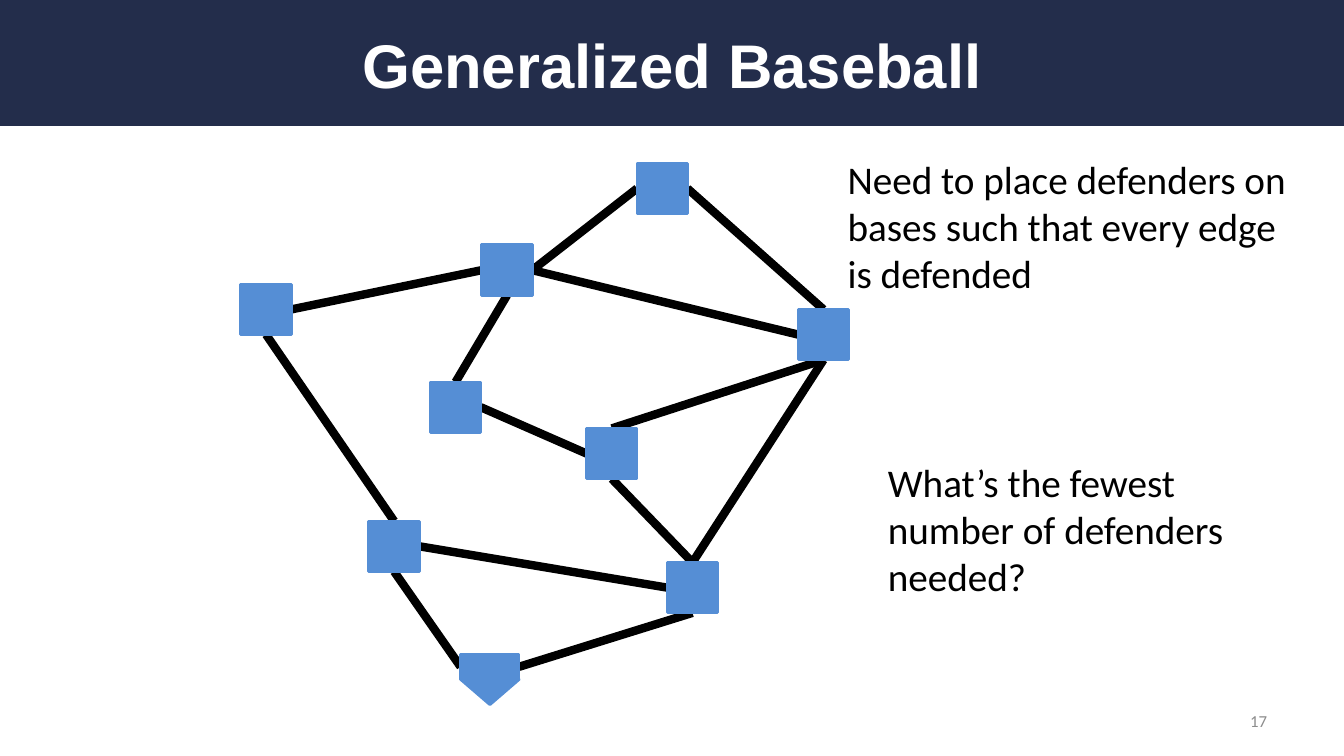
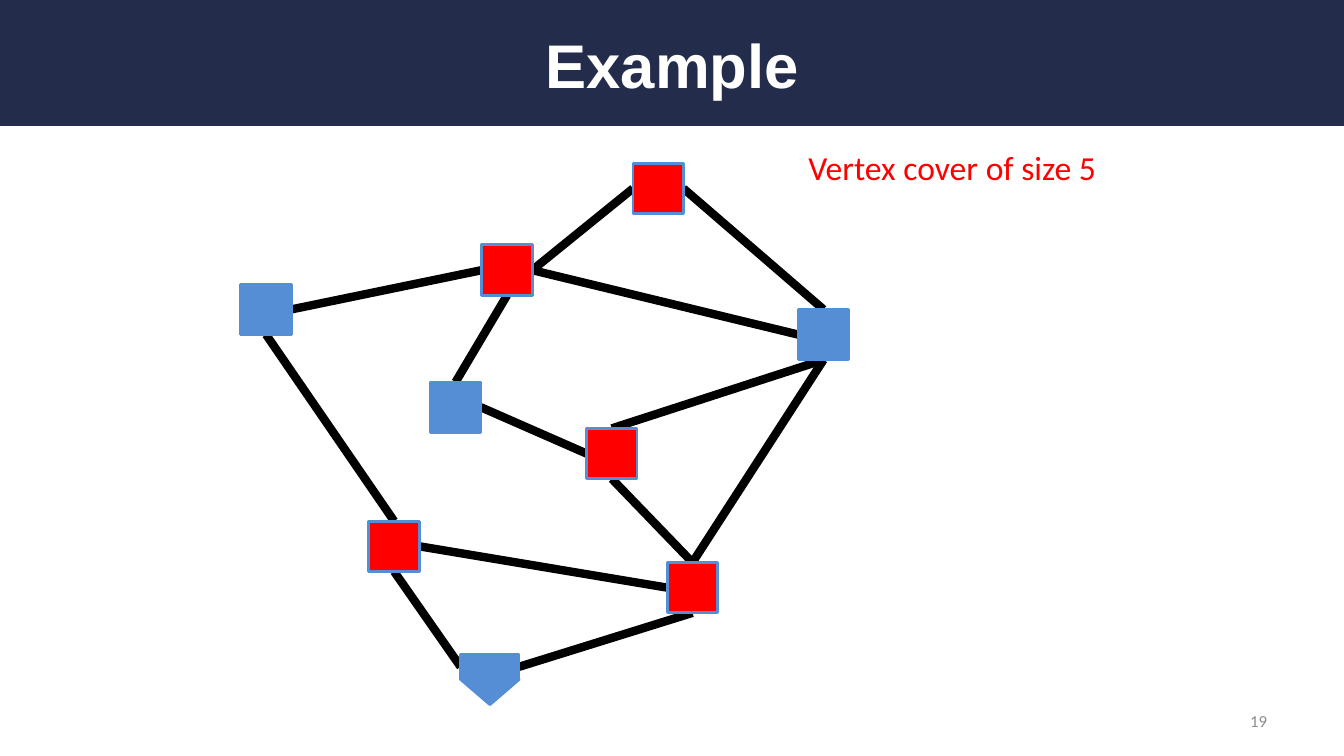
from dataclasses import dataclass

from lxml.etree import SubElement
from pptx import Presentation
from pptx.dml.color import RGBColor
from pptx.enum.shapes import MSO_CONNECTOR, MSO_SHAPE
from pptx.enum.text import MSO_ANCHOR, PP_ALIGN
from pptx.oxml.ns import qn
from pptx.util import Inches, Pt


@dataclass(frozen=True)
class Theme:
    navy: str = "232D4B"
    blue: str = "558ED5"
    red: str = "FF0000"
    black: str = "000000"
    white: str = "FFFFFF"
    gray: str = "8C8C8C"
    title_font: str = "Arial"
    body_font: str = "Calibri"
    title_size: int = 44
    question_size: int = 28
    result_size: int = 24
    number_size: int = 12
    edge_width: int = 6
    outline_width: int = 2


THEME = Theme()
TOP, LEFT, BOTTOM, RIGHT = range(4)
BASE_SIZE = 0.5
PLATE = (4.57, 6.49, 0.58, 0.25)

BASES = {
    "southwest": (3.66, 5.17),
    "southeast": (6.62, 5.58),
    "east": (7.92, 3.07),
    "inner west": (4.27, 3.79),
    "west": (2.39, 2.82),
    "northwest": (4.78, 2.43),
    "center": (5.82, 4.25),
    "north": (6.32, 1.62),
}

EDGES = [
    ("home", RIGHT, "southeast", BOTTOM),
    ("southwest", BOTTOM, "home", LEFT),
    ("southeast", LEFT, "southwest", RIGHT),
    ("west", BOTTOM, "southwest", TOP),
    ("west", RIGHT, "northwest", LEFT),
    ("northwest", RIGHT, "east", LEFT),
    ("northwest", BOTTOM, "inner west", TOP),
    ("inner west", RIGHT, "center", LEFT),
    ("east", BOTTOM, "center", TOP),
    ("northwest", RIGHT, "north", LEFT),
    ("east", TOP, "north", RIGHT),
    ("southeast", TOP, "center", BOTTOM),
    ("southeast", TOP, "east", BOTTOM),
]

SLIDES = [
    {
        "title": "Generalized Baseball",
        "number": "17",
        "bases": BASES,
        "defended": set(),
        "notes": [
            ("Need to place defenders on bases such that every edge is defended",
             (8.31, 1.49, 4.55, 1.51), THEME.question_size, THEME.black),
            ("What’s the fewest number of defenders needed?",
             (8.71, 4.5, 3.75, 1.51), THEME.question_size, THEME.black),
        ],
    },
    {
        "title": "Example",
        "number": "19",
        "bases": {**BASES, "north": (6.28, 1.62)},
        "defended": {"southwest", "southeast", "northwest", "center", "north"},
        "notes": [
            ("Vertex cover of size 5",
             (7.92, 1.41, 3.75, 0.5), THEME.result_size, THEME.red),
        ],
    },
]


def rgb(color):
    return RGBColor.from_string(color)


def write(sp, text, *, size, color, font=THEME.body_font, bold=False,
          align=PP_ALIGN.LEFT, anchor=MSO_ANCHOR.TOP):
    tf = sp.text_frame
    tf.word_wrap = True
    tf.vertical_anchor = anchor
    p = tf.paragraphs[0]
    p.alignment = align
    r = p.add_run()
    r.text = text
    r.font.name = font
    r.font.size = Pt(size)
    r.font.bold = bold
    r.font.color.rgb = rgb(color)


def add_block(s, preset, box, fill, outline=None):
    sp = s.shapes.add_shape(preset, *map(Inches, box))
    sp.shadow.inherit = False
    sp.fill.solid()
    sp.fill.fore_color.rgb = rgb(fill)
    if outline:
        sp.line.color.rgb = rgb(outline)
        sp.line.width = Pt(THEME.outline_width)
    else:
        sp.line.fill.background()
    return sp


def add_note(s, text, box, **style):
    write(s.shapes.add_textbox(*map(Inches, box)), text, **style)


def add_edge(s, start, start_side, end, end_side):
    line = s.shapes.add_connector(MSO_CONNECTOR.STRAIGHT, 0, 0, 0, 0)
    line.begin_connect(start, start_side)
    line.end_connect(end, end_side)
    line.line.color.rgb = rgb(THEME.black)
    line.line.width = Pt(THEME.edge_width)
    SubElement(line.element.spPr, qn("a:effectLst"))


def add_field(s, bases, defended):
    x, y, w, h = PLATE
    tip = add_block(s, MSO_SHAPE.ISOSCELES_TRIANGLE, (x, y + h, w, h),
                    THEME.blue, THEME.blue)
    tip.rotation = 180
    nodes = {"home": add_block(s, MSO_SHAPE.RECTANGLE, PLATE, THEME.blue, THEME.blue)}
    for name, corner in bases.items():
        fill = THEME.red if name in defended else THEME.blue
        nodes[name] = add_block(s, MSO_SHAPE.RECTANGLE,
                                (*corner, BASE_SIZE, BASE_SIZE), fill, THEME.blue)
    for start, start_side, end, end_side in EDGES:
        add_edge(s, nodes[start], start_side, nodes[end], end_side)
    for sp in (tip, *nodes.values()):
        s.shapes.element.append(sp.element)


def add_band(s):
    band = add_block(s, MSO_SHAPE.RECTANGLE, (0, 0, 13.33, 1.25), THEME.navy)
    band.width = Inches(13.333)
    s.slide_layout.shapes.element.insert(2, band.element)


def add_title(s, text):
    title = s.shapes.title
    title.left, title.top, title.width, title.height = map(
        Inches, (0.67, 0.17, 12, 0.92))
    write(title, text, size=THEME.title_size, color=THEME.white,
          font=THEME.title_font, bold=True, align=PP_ALIGN.CENTER,
          anchor=MSO_ANCHOR.MIDDLE)


def main():
    prs = Presentation()
    prs.slide_width, prs.slide_height = Inches(13.333), Inches(7.5)
    layout = prs.slide_layouts.get_by_name("Title Only")
    for i, content in enumerate(SLIDES):
        s = prs.slides.add_slide(layout)
        if i == 0:
            add_band(s)
        add_title(s, content["title"])
        add_note(s, content["number"], (9.56, 6.95, 3.11, 0.4),
                 size=THEME.number_size, color=THEME.gray,
                 align=PP_ALIGN.RIGHT, anchor=MSO_ANCHOR.MIDDLE)
        add_field(s, content["bases"], content["defended"])
        for text, box, size, color in content["notes"]:
            add_note(s, text, box, size=size, color=color)
    prs.save("out.pptx")


if __name__ == "__main__":
    main()
